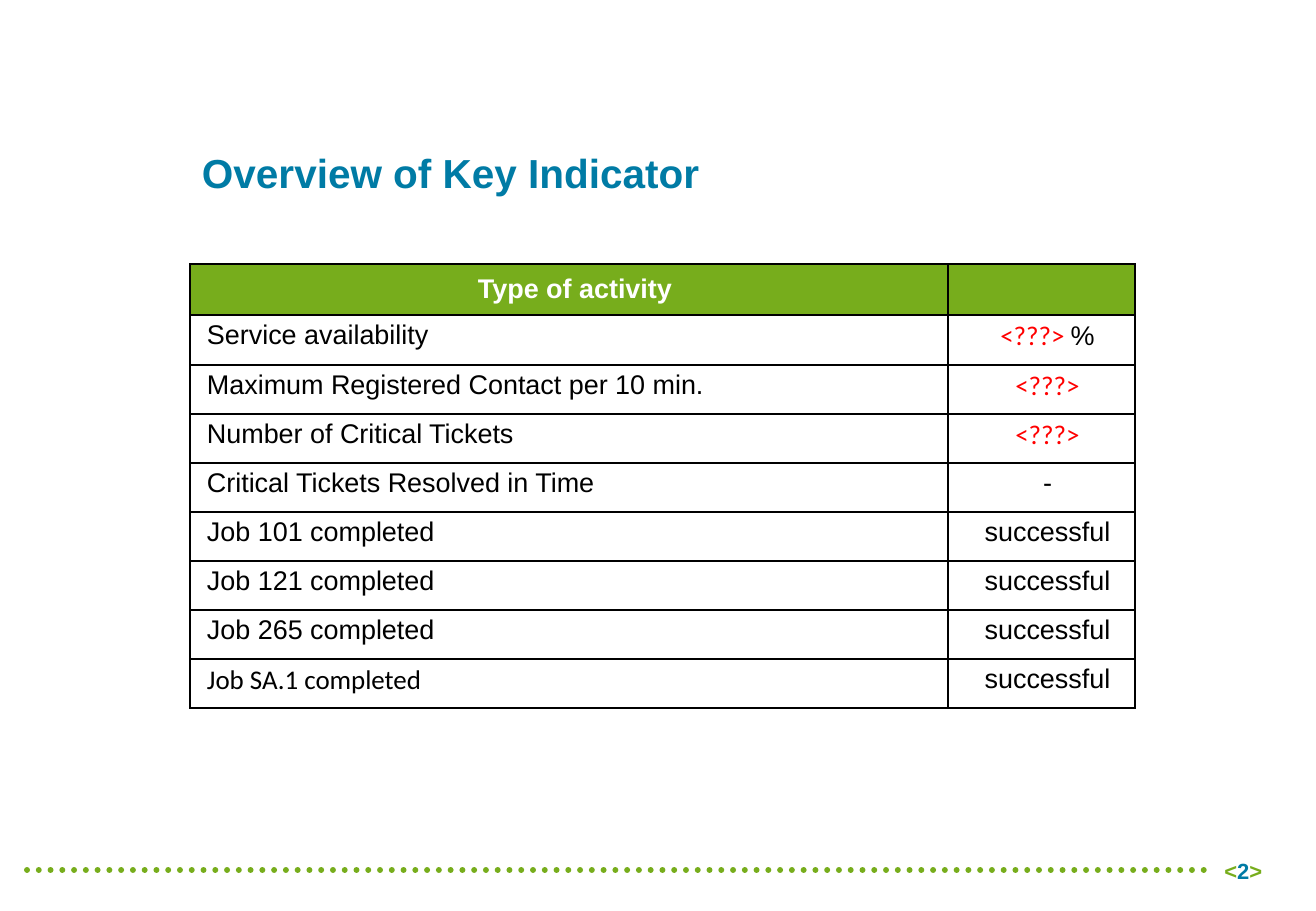
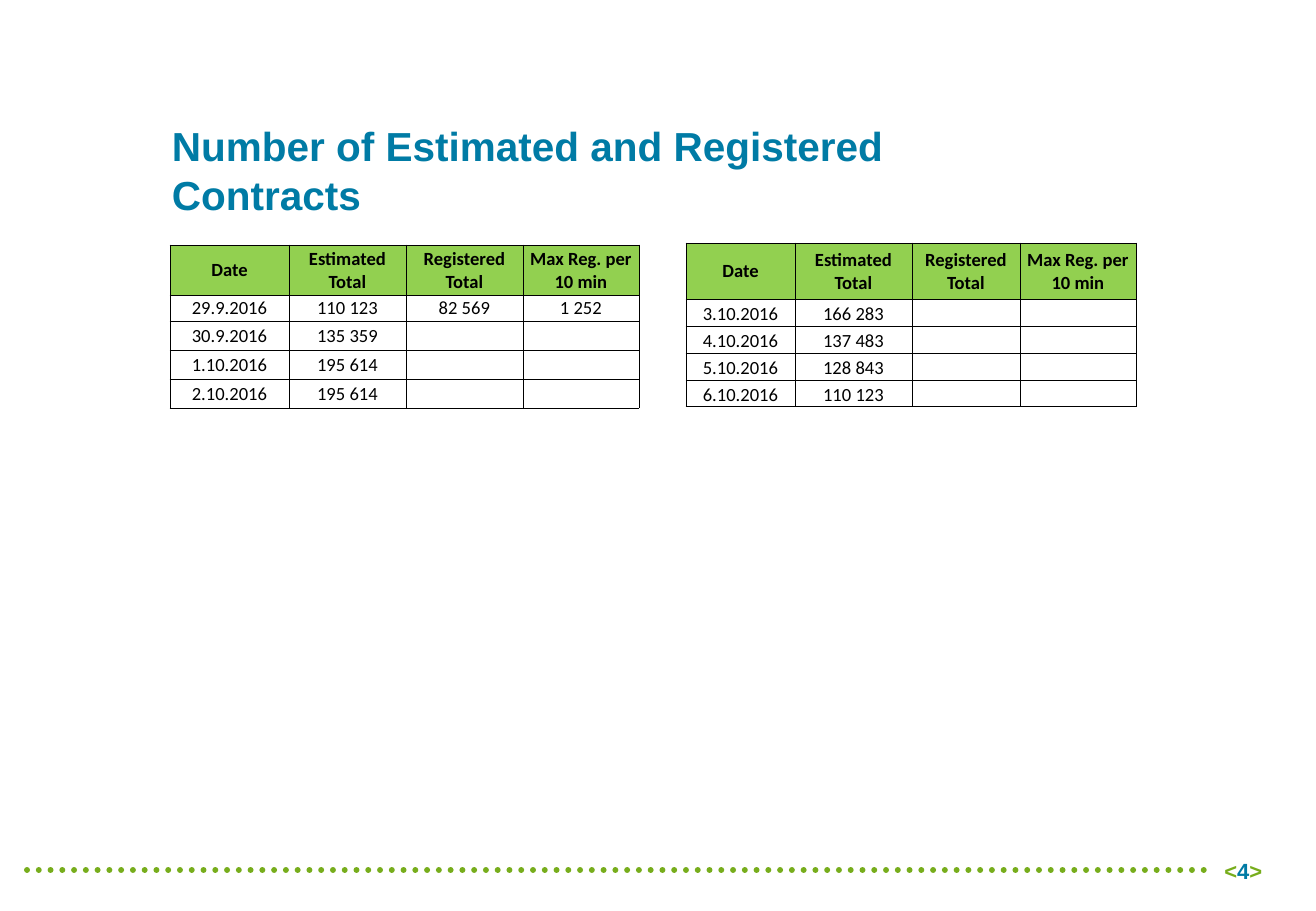
from lxml.etree import SubElement as Sub
from pptx import Presentation
from pptx.dml.color import RGBColor
from pptx.enum.dml import MSO_LINE
from pptx.enum.shapes import MSO_CONNECTOR
from pptx.enum.text import MSO_ANCHOR as Anchor, PP_ALIGN as Align
from pptx.oxml.ns import qn
from pptx.util import Pt

GREEN = RGBColor(0x77, 0xAD, 0x1C)
LIME = RGBColor(0x92, 0xD0, 0x50)
BLUE = RGBColor(0x00, 0x7B, 0xA5)
RED = RGBColor(0xFF, 0x00, 0x00)
BLACK = RGBColor(0x00, 0x00, 0x00)
WHITE = RGBColor(0xFF, 0xFF, 0xFF)
ARIAL, CALIBRI = "Arial", "Calibri"
SCALE = 914400 / 121.5


def px(n):
    """Turn pixels into EMU."""
    return round(n * SCALE)


def style(font, color, face):
    """Set the colour and face of a font."""
    font.color.rgb = color
    font.name = face


def write(para, parts, size, bold, color=BLACK, face=ARIAL):
    """Fill a paragraph with a string or a list of (text, colour, face)."""
    if isinstance(parts, str):
        parts = [(parts, color, face)]
    para.font.size = Pt(size)
    para.font.bold = bold
    for text, color, face in parts:
        if not text:
            Sub(para._p, qn("a:endParaRPr"), sz=str(size * 100))
            continue
        run = para.add_run()
        run.text = text
        style(para.font if len(parts) == 1 else run.font, color, face)


def edge(cell, width):
    """Draw a black border on all four sides of a cell."""
    props = cell._tc.get_or_add_tcPr()
    for side in ("lnL", "lnR", "lnT", "lnB"):
        line = Sub(props, qn("a:" + side), w=str(Pt(width)))
        fill = Sub(line, qn("a:solidFill"))
        Sub(fill, qn("a:srgbClr"), val=str(BLACK))


class Deck:
    """Hold the shared style and the current slide."""

    def __init__(self):
        """Start an empty deck."""
        self.show = Presentation()
        self.show.slide_width = px(1316)
        self.show.slide_height = px(911)

    def page(self, num):
        """Add a slide with the dotted footer line and its number."""
        self.slide = self.show.slides.add_slide(self.show.slide_layouts[6])
        rule = self.slide.shapes.add_connector(
            MSO_CONNECTOR.STRAIGHT, px(27), px(870), px(1213), px(870))
        rule.line.color.rgb = GREEN
        rule.line.width = Pt(3.5)
        rule.line.dash_style = MSO_LINE.ROUND_DOT
        rule.line._ln.set("cap", "rnd")
        Sub(rule._element.spPr, qn("a:effectLst"))
        mark = [("<", GREEN, ARIAL), (num, BLUE, ARIAL), (">", GREEN, ARIAL)]
        self.text((1165, 858, 109, 26), mark, 13, Align.RIGHT)

    def text(self, box, parts, size, align=Align.LEFT):
        """Add a bold, vertically centred text box."""
        frame = self.slide.shapes.add_textbox(*map(px, box)).text_frame
        frame.word_wrap = True
        frame.vertical_anchor = Anchor.MIDDLE
        para = frame.paragraphs[0]
        para.alignment = align
        write(para, parts, size, True, BLUE)

    def title(self, box, text):
        """Add the slide title."""
        self.text(box, text, 24)

    def table(self, spot, cols, rows, data, fills, inks, size, face, line,
              pads, anchor, first=Align.CENTER, indent=0):
        """Add a table; fills and inks are (header, body) colours."""
        grid = self.slide.shapes.add_table(
            len(rows), len(cols), *map(px, (*spot, sum(cols), sum(rows)))).table
        grid.horz_banding = grid.first_row = False
        for col, width in zip(grid.columns, cols):
            col.width = px(width)
        for r, (high, texts) in enumerate(zip(rows, data)):
            grid.rows[r].height = px(high)
            body = r > 0
            for c in range(len(cols)):
                cell = grid.cell(r, c)
                edge(cell, line)
                if fills[body] is None:
                    cell.fill.background()
                else:
                    cell.fill.solid()
                    cell.fill.fore_color.rgb = fills[body]
                (cell.margin_left, cell.margin_right, cell.margin_top,
                 cell.margin_bottom) = map(px, pads)
                cell.vertical_anchor = anchor if body else Anchor.MIDDLE
                para = cell.text_frame.paragraphs[0]
                para.alignment = first if body and c == 0 else Align.CENTER
                para._p.get_or_add_pPr().set("marL", str(px(indent)))
                text = texts[c] if c < len(texts) else ""
                write(para, text, size, not body, inks[body], face)

    def dates(self, spot, cols, rows, data, anchor):
        """Add a table of contract counts by date."""
        head = ("Date", "Estimated Total", "Registered Total",
                "Max Reg. per 10 min")
        self.table(spot, cols, rows, [head, *data], (LIME, None),
                   (BLACK, BLACK), 11, CALIBRI, 0.5, (1, 1, 1, 0), anchor)


deck = Deck()

deck.page("2")
deck.title((190, 112, 871, 120), "Overview of Key Indicator")
unknown = ("<???>", RED, CALIBRI)
share = [("<???> ", RED, CALIBRI), ("%", BLACK, ARIAL)]
done = "successful"
facts = [
    ("Type of activity",),
    ("Service availability", share),
    ("Maximum Registered Contact per 10 min.", [unknown]),
    ("Number of Critical Tickets", [unknown]),
    ("Critical Tickets Resolved in Time", "-"),
    *((f"Job {job} completed", done) for job in (101, 121, 265)),
    ([("Job SA.1 completed", BLACK, CALIBRI)], done),
]
deck.table((190, 264), (758, 187), [51, 50] + [49] * 7, facts,
           (GREEN, WHITE), (WHITE, BLACK), 16, ARIAL, 1, (5, 5, 5, 5),
           Anchor.TOP, Align.LEFT, 12)

deck.page("4")
deck.title((160, 97, 871, 146), "Number of Estimated and Registered Contracts")
deck.dates((170, 245), (119, 117, 117, 116), [50, 26] + [29] * 3, [
    ("29.9.2016", "110 123", "82 569", "1 252"),
    ("30.9.2016", "135 359"),
    ("1.10.2016", "195 614"),
    ("2.10.2016", "195 614"),
], Anchor.MIDDLE)
deck.dates((686, 243), (109, 117, 108, 116), [56] + [27] * 4, [
    ("3.10.2016", "166 283"),
    ("4.10.2016", "137 483"),
    ("5.10.2016", "128 843"),
    ("6.10.2016", "110 123"),
], Anchor.BOTTOM)

deck.show.save("out.pptx")
